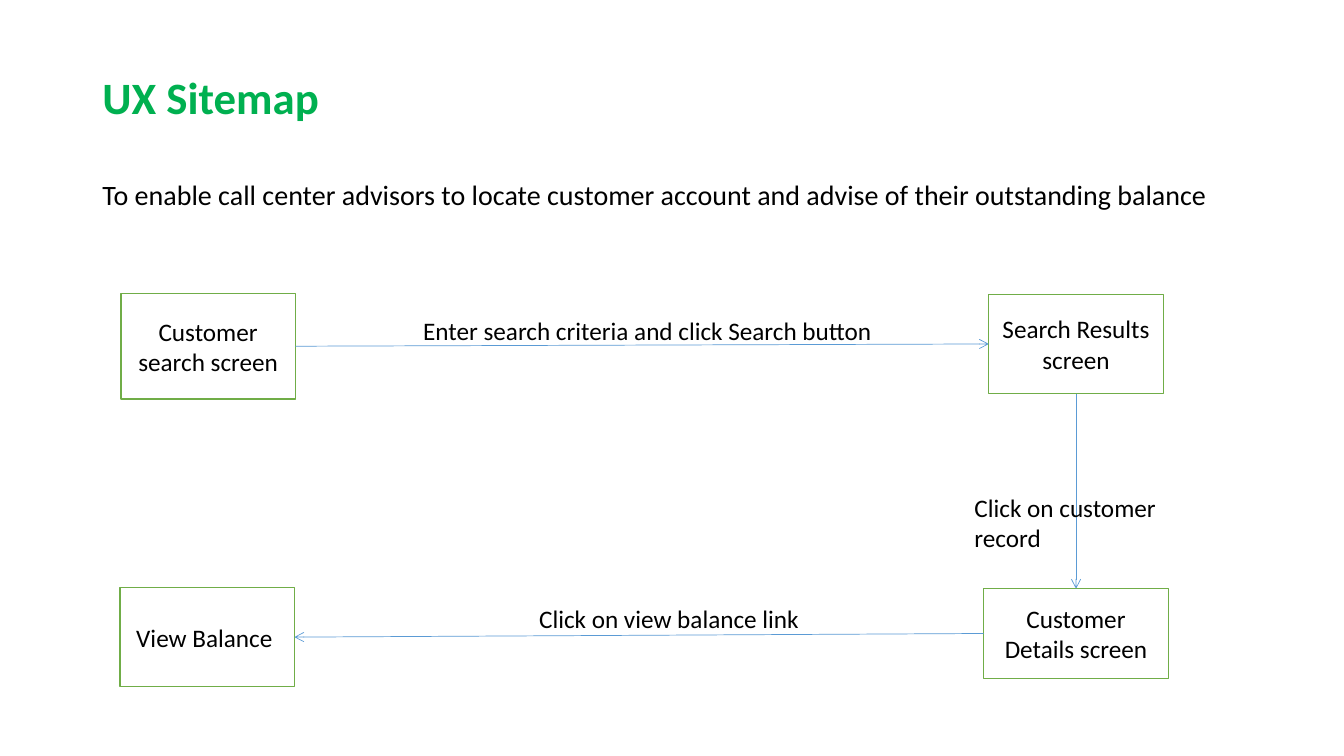
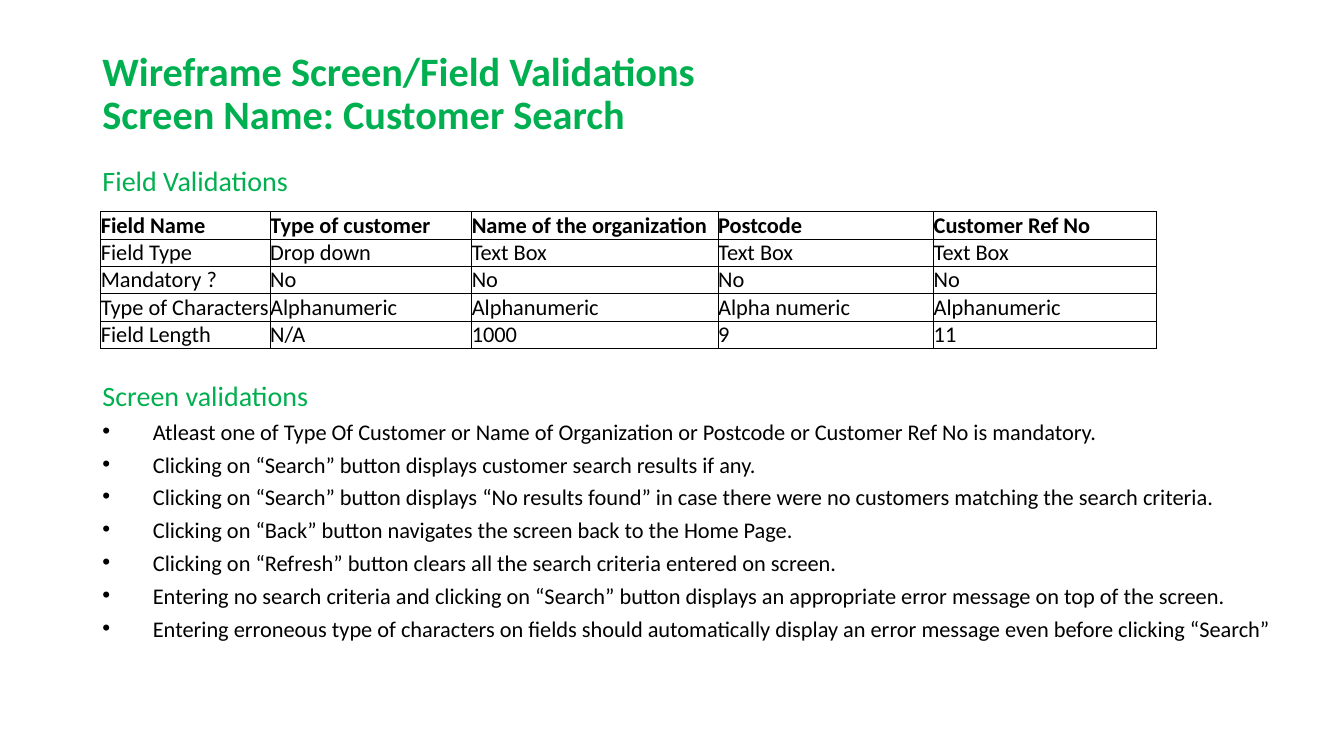
from pptx import Presentation
from pptx.dml.color import RGBColor
from pptx.enum.shapes import MSO_CONNECTOR, MSO_SHAPE
from pptx.enum.text import MSO_ANCHOR, MSO_AUTO_SIZE, PP_ALIGN
from pptx.oxml.ns import qn
from pptx.util import Pt
from lxml.etree import SubElement
from dataclasses import dataclass


# Content, with all places as (left, top, width, height) in points
SITEMAP = {
    "title": "UX Sitemap",
    "goal": "To enable call center advisors to locate customer account and "
            "advise of their outstanding balance",
    "screens": {
        "search": ("Customer search screen", (86.4, 209.5, 124.6, 75.6)),
        "results": ("Search Results screen", (706.3, 210.2, 124.6, 71)),
        "details": ("Customer Details screen", (702.7, 420.5, 131.8, 64)),
        "balance": ("View Balance ", (85.7, 419.8, 124.6, 70.6)),
    },
    "steps": [
        ("search", "right", "results", "left",
         "Enter search criteria and click Search button",
         (295.2, 221.8, 350.6, 29)),
        ("results", "bottom", "details", "top",
         "Click on customer record ", (689, 347.8, 166.3, 50.4)),
        ("details", "left", "balance", "right",
         "Click on view balance link", (378, 427.7, 221.8, 29)),
    ],
}
VALIDATIONS = {
    "title": "Wireframe Screen/Field Validations\vScreen Name: Customer Search",
    "field_heading": "Field Validations",
    "fields": [
        ("Field Name", "Type of customer", "Name of the organization",
         "Postcode", "Customer Ref No"),
        ("Field Type", "Drop down", "Text Box", "Text Box", "Text Box"),
        ("Mandatory ?", "No", "No", "No", "No"),
        ("Type of Characters", "Alphanumeric", "Alphanumeric",
         "Alpha numeric", "Alphanumeric"),
        ("Field Length", "N/A", "1000", "9", "11"),
    ],
    "screen_heading": "Screen validations",
    "rules": [
        "Atleast one of Type Of Customer or Name of Organization or Postcode "
        "or Customer Ref No is mandatory.",
        "Clicking on “Search” button displays customer search results if any.",
        "Clicking on “Search” button displays “No results found” in case there "
        "were no customers matching the search criteria.",
        "Clicking on “Back” button navigates the screen back to the Home Page.",
        "Clicking on “Refresh” button clears all the search criteria entered "
        "on screen.",
        "Entering no search criteria and clicking on “Search” button displays "
        "an appropriate error message on top of the screen.",
        "Entering erroneous type of characters on fields should automatically "
        "display an error message even before clicking “Search”",
    ],
}


@dataclass(frozen=True)
class Theme:
    """Colours, font and type sizes of the presentation."""
    heading: RGBColor = RGBColor(0x00, 0xB0, 0x50)
    text: RGBColor = RGBColor(0, 0, 0)
    paper: RGBColor = RGBColor(0xFF, 0xFF, 0xFF)
    outline: RGBColor = RGBColor(0x70, 0xAD, 0x47)
    arrow: RGBColor = RGBColor(0x5B, 0x9B, 0xD5)
    font: str = "Calibri"
    title_size: float = 32
    long_title_size: float = 28.8
    body_size: float = 20
    label_size: float = 18
    detail_size: float = 16


THEME = Theme()
SLIDE_SIZE = (960, 540)
MARGIN = 66
TITLE_TOP, TITLE_WIDTH = 28.8, 828
COLUMN_WIDTHS = (121, 144, 176, 154, 159)
ROW_HEIGHT = 19.5
TABLE_LEFT, TABLE_TOP = 72, 151.2
HANGING = 36
TABLE_GAP = 137
SITES = {"top": 0, "left": 1, "bottom": 2, "right": 3}


def apply(target, formats):
    """Set every attribute named in formats on target."""
    for name, setting in formats.items():
        setattr(target, name, setting)


def points(place):
    """Turn a tuple of numbers into lengths."""
    return [Pt(number) for number in place]


def write(paragraph, text, size, color=THEME.text, bold=False, **layout):
    """Put text into a paragraph and format it."""
    paragraph.text = text
    apply(paragraph, layout)
    for run in paragraph.runs:
        apply(run.font, {"name": THEME.font, "size": Pt(size), "bold": bold})
        run.font.color.rgb = color


def set_bullet(paragraph, bulleted):
    """Give a paragraph a hanging bullet, or none."""
    properties = paragraph._p.get_or_add_pPr()
    indent = HANGING if bulleted else 0
    properties.set("marL", str(Pt(indent)))
    properties.set("indent", str(-Pt(indent)))
    if bulleted:
        SubElement(properties, qn("a:buFont"), typeface="Arial")
        SubElement(properties, qn("a:buChar"), char="•")
    else:
        SubElement(properties, qn("a:buNone"))


def place_frame(shape, place, anchor):
    """Move a placeholder and return its text frame."""
    apply(shape, dict(zip(("left", "top", "width", "height"), points(place))))
    apply(shape.text_frame, {"word_wrap": True, "vertical_anchor": anchor,
                             "auto_size": MSO_AUTO_SIZE.NONE})
    return shape.text_frame


def add_slide(deck, title, title_size, title_height):
    """Add a slide with the shared title style."""
    slide = deck.slides.add_slide(deck.slide_layouts[1])
    frame = place_frame(slide.shapes.title,
                        (MARGIN, TITLE_TOP, TITLE_WIDTH, title_height),
                        MSO_ANCHOR.MIDDLE)
    write(frame.paragraphs[0], title, title_size, THEME.heading, True,
          alignment=PP_ALIGN.LEFT, line_spacing=0.9)
    return slide


def fill_body(slide, place, line_spacing, entries):
    """Write (text, size, colour, space before, bulleted) entries."""
    frame = place_frame(slide.placeholders[1], place, MSO_ANCHOR.TOP)
    for index, (text, size, color, before, bulleted) in enumerate(entries):
        paragraph = frame.add_paragraph() if index else frame.paragraphs[0]
        write(paragraph, text, size, color, line_spacing=line_spacing,
              space_before=Pt(before))
        set_bullet(paragraph, bulleted)


def add_screen(slide, name, place):
    """Draw one screen of the sitemap."""
    screen = slide.shapes.add_shape(MSO_SHAPE.FLOWCHART_PROCESS, *points(place))
    screen.shadow.inherit = False
    screen.fill.solid()
    screen.fill.fore_color.rgb = THEME.paper
    screen.line.color.rgb = THEME.outline
    screen.line.width = Pt(1)
    apply(screen.text_frame, {"word_wrap": True,
                              "vertical_anchor": MSO_ANCHOR.MIDDLE})
    write(screen.text_frame.paragraphs[0], name, THEME.label_size,
          alignment=PP_ALIGN.CENTER)
    return screen


def add_step(slide, start, start_side, end, end_side):
    """Draw an arrow between the sides of two screens."""
    arrow = slide.shapes.add_connector(MSO_CONNECTOR.STRAIGHT, *points((0,) * 4))
    arrow.begin_connect(start, SITES[start_side])
    arrow.end_connect(end, SITES[end_side])
    arrow.line.color.rgb = THEME.arrow
    arrow.line.width = Pt(0.5)
    SubElement(arrow.line._get_or_add_ln(), qn("a:tailEnd"), type="arrow")
    SubElement(arrow._element.spPr, qn("a:effectLst"))


def add_label(slide, text, place):
    """Write the action that leads along an arrow."""
    frame = slide.shapes.add_textbox(*points(place)).text_frame
    frame.word_wrap = True
    write(frame.paragraphs[0], text, THEME.label_size)


def add_borders(cell):
    """Draw a thin line on all four sides of a cell."""
    properties = cell._tc.get_or_add_tcPr()
    for side in ("lnL", "lnR", "lnT", "lnB"):
        border = SubElement(properties, qn(f"a:{side}"), w=str(Pt(0.75)))
        fill = SubElement(border, qn("a:solidFill"))
        SubElement(fill, qn("a:srgbClr"), val=str(THEME.text))


def add_field_table(slide, fields):
    """Draw the table of fields with a bold first row."""
    place = (TABLE_LEFT, TABLE_TOP, sum(COLUMN_WIDTHS), ROW_HEIGHT * len(fields))
    table = slide.shapes.add_table(len(fields), len(COLUMN_WIDTHS),
                                   *points(place)).table
    apply(table, {"first_row": False, "horz_banding": False})
    for column, width in zip(table.columns, COLUMN_WIDTHS):
        column.width = Pt(width)
    for index, (row, texts) in enumerate(zip(table.rows, fields)):
        row.height = Pt(ROW_HEIGHT)
        for cell, text in zip(row.cells, texts):
            apply(cell, {"margin_left": 0, "margin_right": 0, "margin_top": 0,
                         "margin_bottom": 0,
                         "vertical_anchor": MSO_ANCHOR.BOTTOM})
            add_borders(cell)
            cell.fill.background()
            write(cell.text_frame.paragraphs[0], text, THEME.detail_size,
                  bold=index == 0)


def build_sitemap(deck):
    """Build the slide with the flow between screens."""
    slide = add_slide(deck, SITEMAP["title"], THEME.title_size, 85.7)
    fill_body(slide, (MARGIN, 126, TITLE_WIDTH, 409), 0.9,
              [(SITEMAP["goal"], THEME.body_size, THEME.text, 10, False)])
    screens = {key: add_screen(slide, name, place)
               for key, (name, place) in SITEMAP["screens"].items()}
    for start, start_side, end, end_side, action, place in SITEMAP["steps"]:
        add_step(slide, screens[start], start_side, screens[end], end_side)
        add_label(slide, action, place)


def build_validations(deck):
    """Build the slide with field and screen validations."""
    slide = add_slide(deck, VALIDATIONS["title"], THEME.long_title_size, 77.8)
    headings = [
        (VALIDATIONS[key], THEME.body_size, THEME.heading, before, False)
        for key, before in (("field_heading", 10), ("screen_heading", TABLE_GAP))]
    rules = [(rule, THEME.detail_size, THEME.text, 10, True)
             for rule in VALIDATIONS["rules"]]
    fill_body(slide, (MARGIN, 119.5, 856, 367), 0.7, headings + rules)
    add_field_table(slide, VALIDATIONS["fields"])


deck = Presentation()
apply(deck, dict(zip(("slide_width", "slide_height"), points(SLIDE_SIZE))))
build_sitemap(deck)
build_validations(deck)
deck.save("out.pptx")
